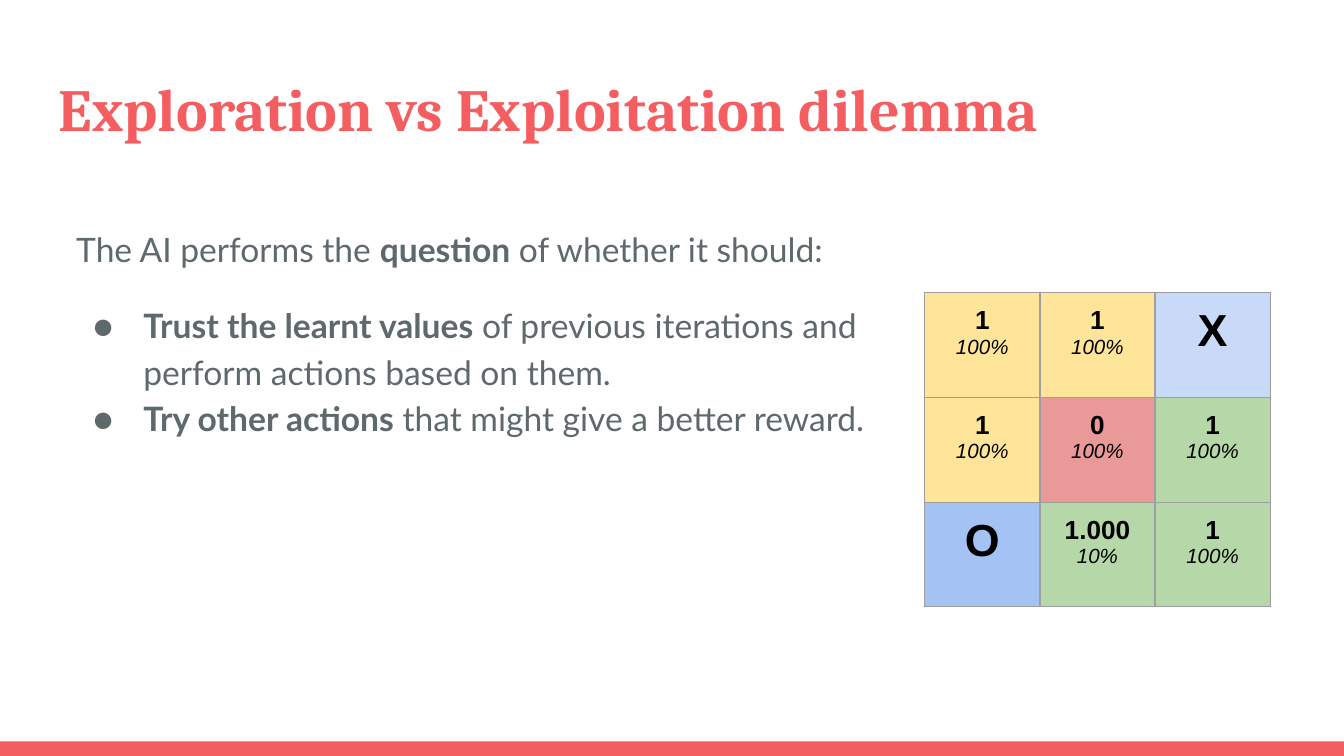
import dataclasses
import typing

import lxml.etree
import pptx
import pptx.dml.color
import pptx.enum.shapes
import pptx.enum.text
import pptx.oxml.ns
import pptx.util

Pt = pptx.util.Pt
qn = pptx.oxml.ns.qn

CORAL = "F55E61"
SLATE = "5E696C"
BLACK = "000000"
GREY = "9E9E9E"
GOLD = "FFE599"
GREEN = "B6D7A8"
ROSE = "EA9999"
PAD = 7.2
CELL_W = 61.7
CELL_H = 56.1


@dataclasses.dataclass
class Run:
    text: str
    size: float = 18
    bold: bool = False
    italic: bool = False
    color: str = SLATE
    font: str = "Lato"


@dataclasses.dataclass
class Para:
    runs: list[Run]
    bullet: bool = False
    before: float = 0
    spacing: float = 1.0
    center: bool = False


@dataclasses.dataclass
class Cell:
    fill: str
    value: str
    odds: str = ""


TITLE = [Para([Run("Exploration vs Exploitation dilemma", 32, True,
                   color=CORAL, font="Cambria")])]
BODY = [
    Para([Run("The AI performs the "), Run("question", bold=True),
          Run(" of whether it should:")], spacing=1.15),
    Para([Run("Trust the learnt values", bold=True),
          Run(" of previous iterations and perform actions based on them.")],
         bullet=True, before=16, spacing=1.15),
    Para([Run("Try other actions", bold=True),
          Run(" that might give a better reward.")], bullet=True, spacing=1.15),
]
GRID = [
    [Cell(GOLD, "1", "100%"), Cell(GOLD, "1", "100%"), Cell("C9DAF8", "X")],
    [Cell(GOLD, "1", "100%"), Cell(ROSE, "0", "100%"), Cell(GREEN, "1", "100%")],
    [Cell("A4C2F4", "O"), Cell(GREEN, "1.000", "10%"), Cell(GREEN, "1", "100%")],
]


def rgb(code: str) -> pptx.dml.color.RGBColor:
    return pptx.dml.color.RGBColor.from_string(code)


def paint(shape: typing.Any, code: str) -> None:
    shape.fill.solid()
    shape.fill.fore_color.rgb = rgb(code)


def add_tint(node: typing.Any, tag: str, code: str) -> None:
    """Add a colour element such as a:solidFill or a:buClr."""
    tint = lxml.etree.SubElement(node, qn(tag))
    lxml.etree.SubElement(tint, qn("a:srgbClr"), val=code)


def add_bullet(par: typing.Any) -> None:
    props = par._p.get_or_add_pPr()
    props.set("marL", str(Pt(36)))
    props.set("indent", str(Pt(-27)))
    add_tint(props, "a:buClr", SLATE)
    lxml.etree.SubElement(props, qn("a:buFont"), typeface="Lato")
    lxml.etree.SubElement(props, qn("a:buChar"), char="●")


def write(frame: typing.Any, paras: list[Para]) -> None:
    for num, para in enumerate(paras):
        par = frame.add_paragraph() if num else frame.paragraphs[0]
        par.line_spacing = para.spacing
        par.space_before = Pt(para.before)
        if para.center:
            par.alignment = pptx.enum.text.PP_ALIGN.CENTER
        if para.bullet:
            add_bullet(par)
        for item in para.runs:
            run = par.add_run()
            run.text = item.text
            run.font.name = item.font
            run.font.size = Pt(item.size)
            run.font.bold = item.bold
            run.font.italic = item.italic
            run.font.color.rgb = rgb(item.color)


def inset(holder: typing.Any) -> None:
    holder.margin_left = holder.margin_right = Pt(PAD)
    holder.margin_top = holder.margin_bottom = Pt(PAD)


def add_text(slide: typing.Any, left: float, top: float, width: float,
             height: float, paras: list[Para]) -> None:
    box = slide.shapes.add_textbox(Pt(left), Pt(top), Pt(width), Pt(height))
    frame = box.text_frame
    frame.word_wrap = True
    inset(frame)
    write(frame, paras)


def add_edges(cell: typing.Any) -> None:
    props = cell._tc.get_or_add_tcPr()
    for num, side in enumerate(("a:lnL", "a:lnR", "a:lnT", "a:lnB")):
        line = lxml.etree.Element(qn(side), w=str(Pt(0.75)))
        add_tint(line, "a:solidFill", GREY)
        props.insert(num, line)


def add_grid(slide: typing.Any, left: float, top: float,
             grid: list[list[Cell]]) -> None:
    rows, cols = len(grid), len(grid[0])
    table = slide.shapes.add_table(rows, cols, Pt(left), Pt(top),
                                   Pt(cols * CELL_W), Pt(rows * CELL_H)).table
    table.first_row = False
    table.horz_banding = False
    for col in table.columns:
        col.width = Pt(CELL_W)
    for row, items in zip(table.rows, grid):
        row.height = Pt(CELL_H)
        for cell, item in zip(row.cells, items):
            size = 14 if item.odds else 24
            paras = [Para([Run(item.value, size, True, False, BLACK, "Arial")],
                          center=True)]
            if item.odds:
                paras.append(Para([Run(item.odds, 11, False, True, BLACK,
                                       "Arial")], center=True))
            inset(cell)
            write(cell.text_frame, paras)
            paint(cell, item.fill)
            add_edges(cell)


def add_bar(slide: typing.Any) -> None:
    bar = slide.shapes.add_shape(pptx.enum.shapes.MSO_SHAPE.RECTANGLE,
                                 Pt(0), Pt(397.2), Pt(720), Pt(7.8))
    bar.shadow.inherit = False
    paint(bar, CORAL)
    bar.line.fill.background()


def main() -> None:
    deck = pptx.Presentation()
    deck.slide_width = Pt(720)
    deck.slide_height = Pt(405)
    slide = deck.slides.add_slide(deck.slide_layouts[6])
    add_bar(slide)
    add_text(slide, 24.5, 31, 671, 49, TITLE)
    add_text(slide, 33.8, 112.3, 456.5, 213, BODY)
    add_grid(slide, 495.4, 156.8, GRID)
    deck.save("out.pptx")


if __name__ == "__main__":
    main()
